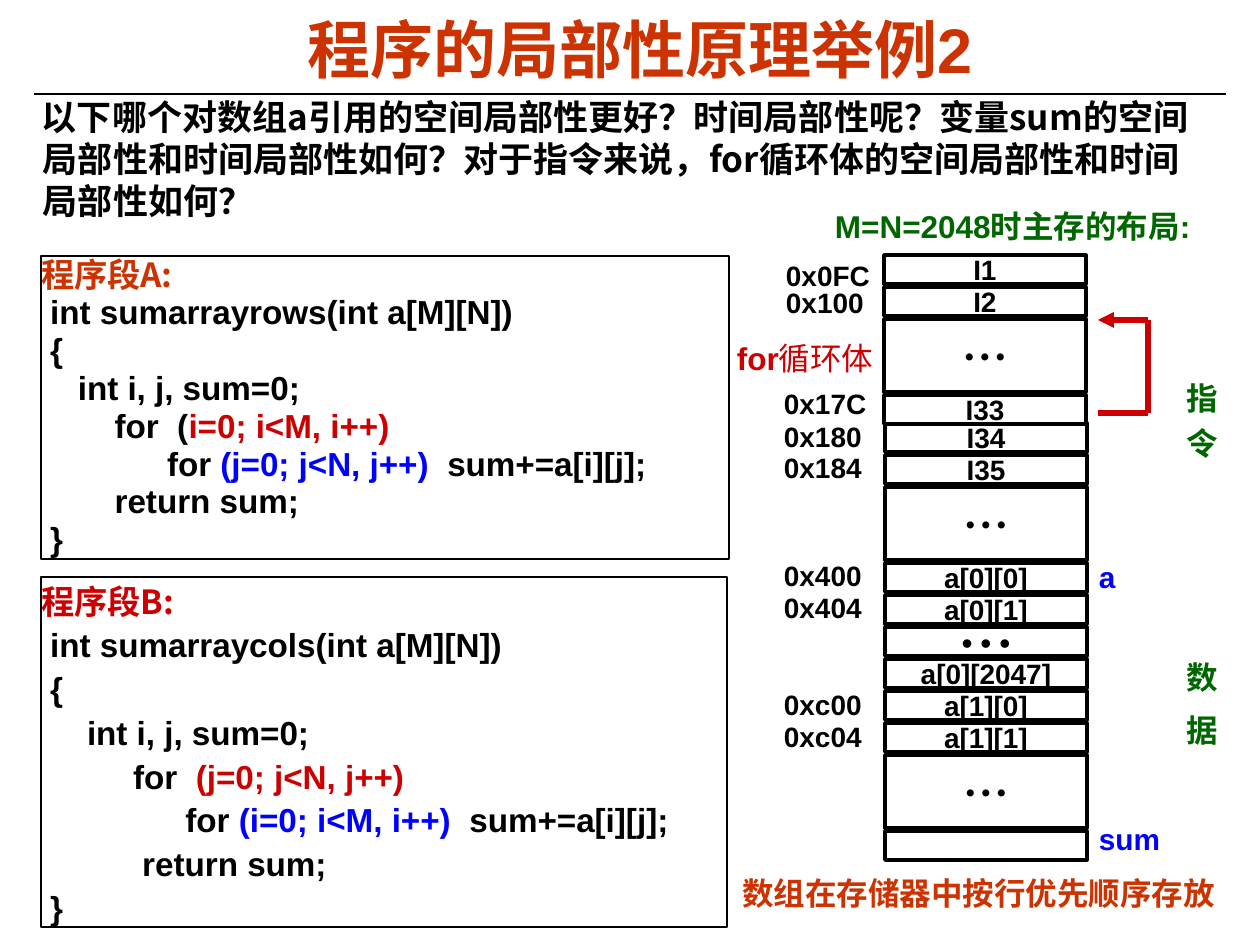
"""Build the slide on the locality of array sums and the layout of main memory."""
import lxml.etree
import pptx
import pptx.dml.color
import pptx.enum.shapes
import pptx.enum.text
import pptx.oxml.ns
import pptx.util

RGB = pptx.dml.color.RGBColor
BLACK = RGB(0, 0, 0)
WHITE = RGB(255, 255, 255)
RUST = RGB(0xCC, 0x33, 0x00)
RED = RGB(0xCC, 0x00, 0x00)
GREEN = RGB(0x00, 0x66, 0x00)
BLUE = RGB(0x00, 0x00, 0xFF)

ARIAL = "Arial"
NOTO = "Noto Sans CJK SC"
TIMES = "Times New Roman"
CENTER = pptx.enum.text.PP_ALIGN.CENTER
MIDDLE = pptx.enum.text.MSO_ANCHOR.MIDDLE
TOP = pptx.enum.text.MSO_ANCHOR.TOP
RECT = pptx.enum.shapes.MSO_SHAPE.RECTANGLE
STRAIGHT = pptx.enum.shapes.MSO_CONNECTOR.STRAIGHT
PAD = (13, 6)

ROW, TALL, GAP, WIDE = 29, 73, 3, 202
DOTS = "• • •"

CODE_A = [
    [("程序段A:", RUST, NOTO)],
    [(" int sumarrayrows(int a[M][N])", BLACK)],
    [(" {", BLACK)],
    [("    int i, j, sum=0;", BLACK)],
    [("        for  (", BLACK), ("i=0; i<M, i++)", RED)],
    [("\tfor ", BLACK), ("(j=0; j<N, j++)  ", BLUE), ("sum+=a[i][j];", BLACK)],
    [("        return sum;", BLACK)],
    [(" }", BLACK)],
]
CODE_B = [
    [("程序段B:", RED, NOTO)],
    [(" int sumarraycols(int a[M][N])", BLACK)],
    [(" {", BLACK)],
    [("     int i, j, sum=0;", BLACK)],
    [("          for  ", BLACK), ("(j=0; j<N, j++)", RED)],
    [("\t  for ", BLACK), ("(i=0; i<M, i++)", BLUE), ("  sum+=a[i][j];", BLACK)],
    [("           return sum;", BLACK)],
    [(" }", BLACK)],
]
STACKS = [
    (884, 255, [("I1", ROW), ("I2", ROW), (DOTS, TALL), ("I33", ROW)]),
    (885, 423, [("I34", ROW), ("I35", ROW), (DOTS, TALL), ("a[0][0]", ROW),
                ("a[0][1]", ROW), (DOTS, ROW), ("a[0][2047]", ROW),
                ("a[1][0]", ROW), ("a[1][1]", ROW), (DOTS, TALL), ("", ROW)]),
]
LABELS = [
    ("0x0FC", 773, 253), ("0x100", 773, 280), ("0x17C", 771, 381),
    ("0x180", 771, 413), ("0x184", 771, 445), ("0x400", 771, 553),
    ("0x404", 771, 585), ("0xc00", 771, 682), ("0xc04", 771, 714),
]


def px(n):
    return pptx.util.Emu(round(n * 914400 / 126))


class Deck:
    def __init__(self):
        self.prs = pptx.Presentation()
        self.prs.slide_width = px(1260)
        self.prs.slide_height = px(945)
        self.slide = self.prs.slides.add_slide(self.prs.slide_layouts[6])

    def style(self, run, size, color, face=ARIAL, bold=True):
        font = run.font
        font.size = pptx.util.Pt(size)
        font.bold = bold
        font.color.rgb = color
        font.name = face
        tag = pptx.oxml.ns.qn("a:ea")
        lxml.etree.SubElement(run._r.get_or_add_rPr(), tag).set("typeface", NOTO)

    def frame(self, shape, pad, anchor=TOP, wrap=True):
        frame = shape.text_frame
        frame.margin_left = frame.margin_right = px(pad[0])
        frame.margin_top = frame.margin_bottom = px(pad[1])
        frame.vertical_anchor = anchor
        frame.word_wrap = wrap
        return frame

    def text(self, text, x, y, w, h, size, color, face=ARIAL, pad=PAD,
             anchor=TOP, wrap=True, align=None, lead=None):
        box = self.slide.shapes.add_textbox(px(x), px(y), px(w), px(h))
        frame = self.frame(box, pad, anchor, wrap)
        frame.text = text
        para = frame.paragraphs[0]
        para.alignment = align
        if lead:
            para.line_spacing = pptx.util.Pt(lead)
        self.style(para.runs[0], size, color, face)
        return frame

    def upright(self, text, y, space):
        frame = self.text(text, 1125, y, 101, 125, 18, GREEN, pad=(6, 13))
        frame._txBody.bodyPr.set("vert", "eaVert")
        frame.paragraphs[0].runs[0]._r.rPr.set("spc", str(space))

    def rect(self, x, y, w, h, line, fill=None):
        box = self.slide.shapes.add_shape(RECT, px(x), px(y), px(w), px(h))
        box.shadow.inherit = False
        if fill is None:
            box.fill.background()
        else:
            box.fill.solid()
            box.fill.fore_color.rgb = fill
        box.line.color.rgb = BLACK
        box.line.width = pptx.util.Pt(line)
        return box

    def cell(self, text, x, y, h):
        frame = self.frame(self.rect(x, y, WIDE, h, 2, WHITE), PAD, MIDDLE, False)
        if not text:
            return
        frame.text = text
        para = frame.paragraphs[0]
        para.alignment = CENTER
        size, face = 16, ARIAL
        if text == DOTS:
            size, face = (14, ARIAL) if h == TALL else (18, TIMES)
        self.style(para.runs[0], size, BLACK, face)

    def code(self, lines, x, y, w, h, lead, fill=None):
        frame = self.frame(self.rect(x, y, w, h, 0.75, fill), (0, 0))
        for i, line in enumerate(lines):
            para = frame.add_paragraph() if i else frame.paragraphs[0]
            tabs = lxml.etree.SubElement(para._p.get_or_add_pPr(), pptx.oxml.ns.qn("a:tabLst"))
            tab = lxml.etree.SubElement(tabs, pptx.oxml.ns.qn("a:tab"))
            tab.set("pos", str(px(126)))
            tab.set("algn", "l")
            para.alignment = pptx.enum.text.PP_ALIGN.LEFT
            para.line_spacing = pptx.util.Pt(lead)
            for text, color, *face in line:
                run = para.add_run()
                run.text = text
                self.style(run, 19, color, *face)

    def line(self, x1, y1, x2, y2, color, width, arrow=False):
        line = self.slide.shapes.add_connector(STRAIGHT, px(x1), px(y1), px(x2), px(y2))
        line.line.color.rgb = color
        line.line.width = pptx.util.Pt(width)
        if arrow:
            tail = lxml.etree.SubElement(line.line._get_or_add_ln(), pptx.oxml.ns.qn("a:tailEnd"))
            tail.set("type", "triangle")
        lxml.etree.SubElement(line._element.spPr, pptx.oxml.ns.qn("a:effectLst"))


def main():
    deck = Deck()
    deck.line(34, 94, 1226, 94, BLACK, 1.5)
    deck.text("程序的局部性原理举例2", 33, 14, 1213, 79, 36, RUST,
              anchor=MIDDLE, align=CENTER, lead=37.6)
    body = deck.text("以下哪个对数组a引用的空间局部性更好？时间局部性呢？变量sum的空间局部性和时间局部性如何？"
                     "对于指令来说，for循环体的空间局部性和时间局部性如何？",
                     29, 90, 1183, 151, 20, BLACK, NOTO, lead=24)
    props = body.paragraphs[0]._p.get_or_add_pPr()
    props.set("marL", str(px(1)))
    props.set("indent", str(px(-3)))
    deck.text("数组在存储器中按行优先顺序存放", 742, 874, 473, 38, 18, RUST, NOTO,
              pad=(0, 0), wrap=False)
    deck.code(CODE_B, 41, 577, 686, 350, 25, WHITE)
    deck.code(CODE_A, 41, 256, 688, 303, 21.6)

    deck.text("M=N=2048时主存的布局:", 822, 201, 396, 50, 18, GREEN, wrap=False)
    for text, x, y in LABELS:
        deck.text(text, x, y, 114, 45, 16, BLACK, wrap=False)
    deck.upright("指令", 370, 770)
    deck.upright("数据", 649, 1230)
    deck.text("a", 1086, 553, 45, 48, 17, BLUE)
    deck.text("sum", 1086, 815, 129, 48, 17, BLUE)

    for x, y, rows in reversed(STACKS):
        for text, h in rows:
            deck.cell(text, x, y, h)
            y += h + GAP

    deck.line(1098, 413, 1148, 413, RED, 3)
    deck.line(1148, 413, 1148, 320, RED, 3)
    deck.line(1148, 320, 1098, 320, RED, 3, True)
    loop = deck.text("for", 737, 339, 175, 38, 18, RED, pad=(0, 0))
    run = loop.paragraphs[0].add_run()
    run.text = "循环体"
    deck.style(run, 18, RED, bold=False)
    deck.prs.save("out.pptx")


if __name__ == "__main__":
    main()
